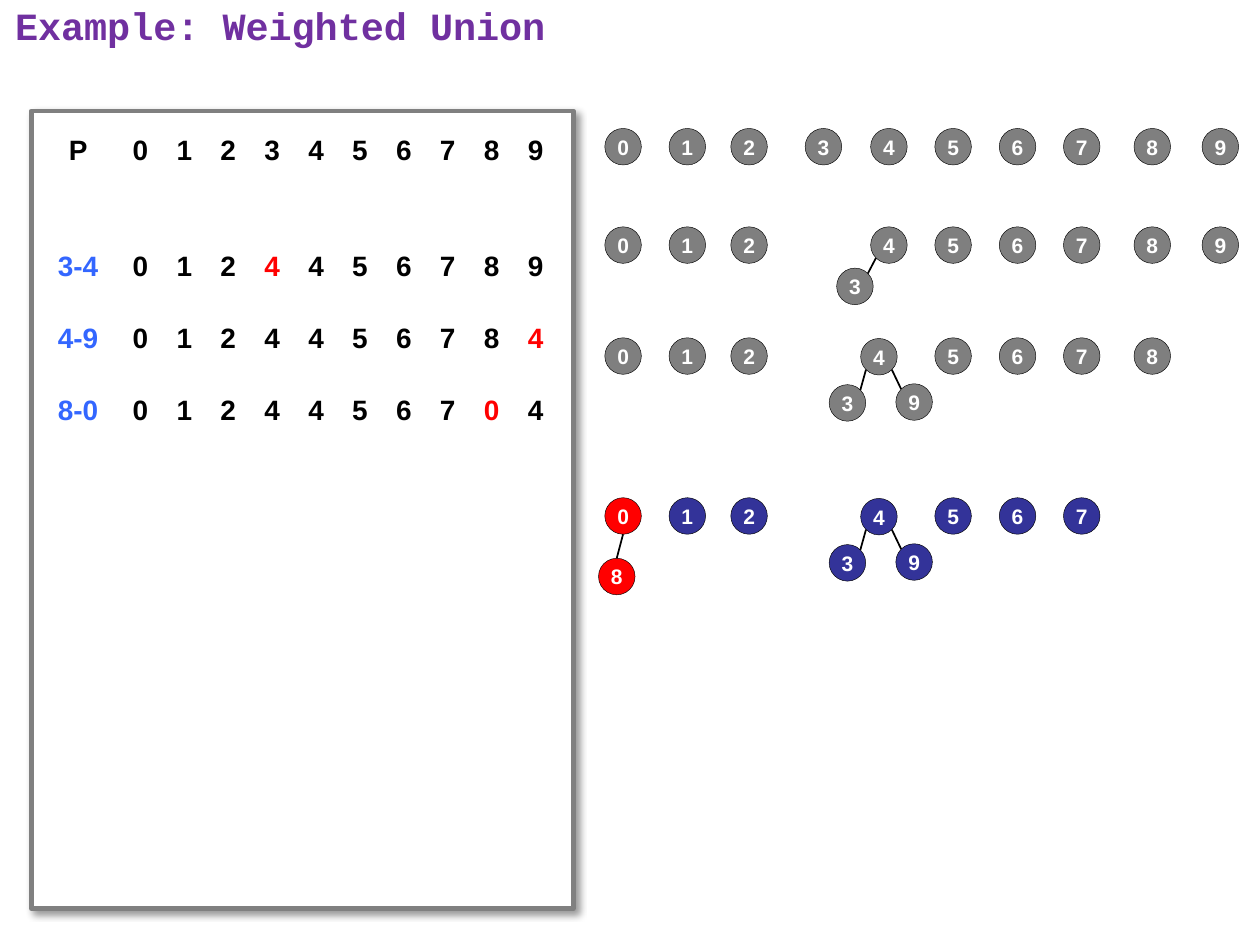
"""Build a slide that traces weighted union on ten elements."""
from dataclasses import dataclass
from math import sqrt

from lxml import etree
from pptx import Presentation
from pptx.dml.color import RGBColor
from pptx.enum.shapes import MSO_CONNECTOR, MSO_SHAPE
from pptx.enum.text import MSO_ANCHOR, PP_ALIGN
from pptx.oxml import parse_xml
from pptx.oxml.ns import nsdecls, qn
from pptx.util import Pt

STRAIGHT = MSO_CONNECTOR.STRAIGHT
OVAL = MSO_SHAPE.OVAL
RECTANGLE = MSO_SHAPE.RECTANGLE
TOP = MSO_ANCHOR.TOP
MIDDLE = MSO_ANCHOR.MIDDLE
LEFT = PP_ALIGN.LEFT
CENTER = PP_ALIGN.CENTER
TITLE_ONLY = 5


@dataclass(frozen=True)
class Theme:
    """Fonts, type sizes and colours of the slide."""

    title_font: str = "Courier New"
    body_font: str = "Arial"
    title_size: float = 22
    table_size: float = 16
    node_size: float = 12
    title: str = "7030A0"
    text: str = "000000"
    operation: str = "3366FF"
    changed: str = "FF0000"
    panel_fill: str = "FFFFFF"
    panel_line: str = "808080"
    node_text: str = "FFFFFF"
    past_node: str = "7F7F7F"
    current_node: str = "333399"


THEME = Theme()

PARENT_ROWS = [
    ("P", "0123456789", None),
    ("", "", None),
    ("3-4", "0124456789", 3),
    ("4-9", "0124456784", 9),
    ("8-0", "0124456704", 8),
    ("", "", None),
    ("", "", None),
]
ROW_HEIGHT, GAP_HEIGHT = 41, 25.6
LABEL_WIDTH, VALUE_WIDTH = 46.1, 25.1

DIAMETER = 20.9
NODE_LEFTS = [345.6, 382.3, 417.6, 460.1, 497.5, 534.2, 571, 607.7, 648, 686.9]
MERGED_TREE = {"4": (491.8, 0.4), "3": (473.8, 26.8), "9": (511.9, 26.3)}
MERGED_EDGES = [("3", "4"), ("9", "4")]
FORESTS = [
    dict(top=73.4, labels="0123456789"),
    dict(top=129.6, labels="0123456789", moved={"3": (478.1, 23.6)},
         edges=[("3", "4")]),
    dict(top=193, labels="0123456789", moved=MERGED_TREE, edges=MERGED_EDGES),
    dict(top=284.4, labels="0123456789",
         moved={**MERGED_TREE, "8": (342, 34.6)},
         edges=[*MERGED_EDGES, ("8", "0")],
         fill=THEME.current_node, highlighted="08"),
]


def color(value):
    """Turn a hex value into a colour."""
    return RGBColor.from_string(value)


def format_text(paragraph, font, size, tone, align):
    """Set the alignment of a paragraph and the bold font of its runs."""
    paragraph.alignment = align
    for span in paragraph.runs:
        span.font.name = font
        span.font.size = Pt(size)
        span.font.bold = True
        span.font.color.rgb = color(tone)


def add_title(slide, text):
    """Place the title at the top left corner."""
    box = slide.shapes.title
    box.left, box.top, box.width, box.height = Pt(1.4), Pt(-2.2), Pt(717), Pt(38)
    frame = box.text_frame
    frame.text = text
    frame.vertical_anchor = TOP
    para = frame.paragraphs[0]
    para.space_before = Pt(4.4)
    format_text(para, THEME.title_font, THEME.title_size, THEME.title, LEFT)


def add_panel(slide):
    """Draw the framed panel with its soft shadow."""
    panel = slide.shapes.add_shape(RECTANGLE, Pt(18), Pt(63.4), Pt(309.6), Pt(455.8))
    panel.fill.solid()
    panel.fill.fore_color.rgb = color(THEME.panel_fill)
    panel.line.color.rgb = color(THEME.panel_line)
    panel.line.width = Pt(2.75)
    panel._element.spPr.append(parse_xml(
        f'<a:effectLst {nsdecls("a")}>'
        f'<a:outerShdw blurRad="{Pt(4)}" dist="{Pt(3)}" dir="2700000">'
        '<a:srgbClr val="000000"><a:alpha val="40000"/></a:srgbClr>'
        '</a:outerShdw></a:effectLst>'))


def fill_cell(cell, text, tone):
    """Write one centred value in a cell without fill."""
    cell.fill.background()
    cell.vertical_anchor = MIDDLE
    cell.margin_top = cell.margin_bottom = 0
    cell.text = text
    format_text(cell.text_frame.paragraphs[0], THEME.body_font,
                THEME.table_size, tone, CENTER)


def add_parent_table(slide):
    """Add the table with the parent array after each union."""
    heights = [ROW_HEIGHT] * len(PARENT_ROWS)
    heights[1] = GAP_HEIGHT
    widths = [LABEL_WIDTH] + [VALUE_WIDTH] * 10
    table = slide.shapes.add_table(
        len(heights), len(widths), Pt(21.6), Pt(65.5),
        Pt(sum(widths)), Pt(sum(heights))).table
    table.first_row = table.horz_banding = False
    for column, width in zip(table.columns, widths):
        column.width = Pt(width)
    for row, height, (label, values, changed) in zip(table.rows, heights, PARENT_ROWS):
        row.height = Pt(height)
        label_tone = THEME.text if label == "P" else THEME.operation
        fill_cell(row.cells[0], label, label_tone)
        for index, value in enumerate(values.ljust(10)):
            tone = THEME.changed if index == changed else THEME.text
            fill_cell(row.cells[index + 1], value.strip(), tone)


def add_node(slide, label, left, top, fill):
    """Draw one round node with its label."""
    node = slide.shapes.add_shape(OVAL, Pt(left), Pt(top), Pt(DIAMETER), Pt(DIAMETER))
    node.shadow.inherit = False
    node.fill.solid()
    node.fill.fore_color.rgb = color(fill)
    node.line.color.rgb = color(THEME.text)
    node.line.width = Pt(0.25)
    frame = node.text_frame
    frame.margin_left = frame.margin_right = frame.margin_top = frame.margin_bottom = 0
    frame.word_wrap = False
    frame.vertical_anchor = MIDDLE
    frame.text = label
    format_text(frame.paragraphs[0], THEME.body_font, THEME.node_size,
                THEME.node_text, CENTER)


def add_edge(slide, child, parent):
    """Join a child to its parent, diagonally unless it hangs straight below."""
    radius = DIAMETER / 2
    shift = child[0] - parent[0]
    lean = 0 if abs(shift) < radius else shift / abs(shift)
    drop = radius / sqrt(2) if lean else radius
    (child_x, child_y), (parent_x, parent_y) = [
        (left + radius, top + radius) for left, top in (child, parent)]
    edge = slide.shapes.add_connector(
        STRAIGHT, Pt(child_x - lean * drop), Pt(child_y - drop),
        Pt(parent_x + lean * drop), Pt(parent_y + drop))
    edge.line.color.rgb = color(THEME.text)
    edge.line.width = Pt(1)
    etree.SubElement(edge._element.spPr, qn("a:effectLst"))


def add_forest(slide, top, labels, moved=None, edges=(),
               fill=THEME.past_node, highlighted=""):
    """Draw the trees that exist after one union."""
    offsets = {label: (NODE_LEFTS[int(label)], 0) for label in labels}
    offsets.update(moved or {})
    places = {label: (left, top + drop) for label, (left, drop) in offsets.items()}
    for label, (left, node_top) in places.items():
        tone = THEME.changed if label in highlighted else fill
        add_node(slide, label, left, node_top, tone)
    for child, parent in edges:
        add_edge(slide, places[child], places[parent])


def main():
    """Build the deck and save it."""
    deck = Presentation()
    deck.slide_width, deck.slide_height = Pt(720), Pt(540)
    slide = deck.slides.add_slide(deck.slide_layouts[TITLE_ONLY])
    add_title(slide, "Example: Weighted Union")
    add_panel(slide)
    add_parent_table(slide)
    for forest in FORESTS:
        add_forest(slide, **forest)
    deck.save("out.pptx")


if __name__ == "__main__":
    main()
